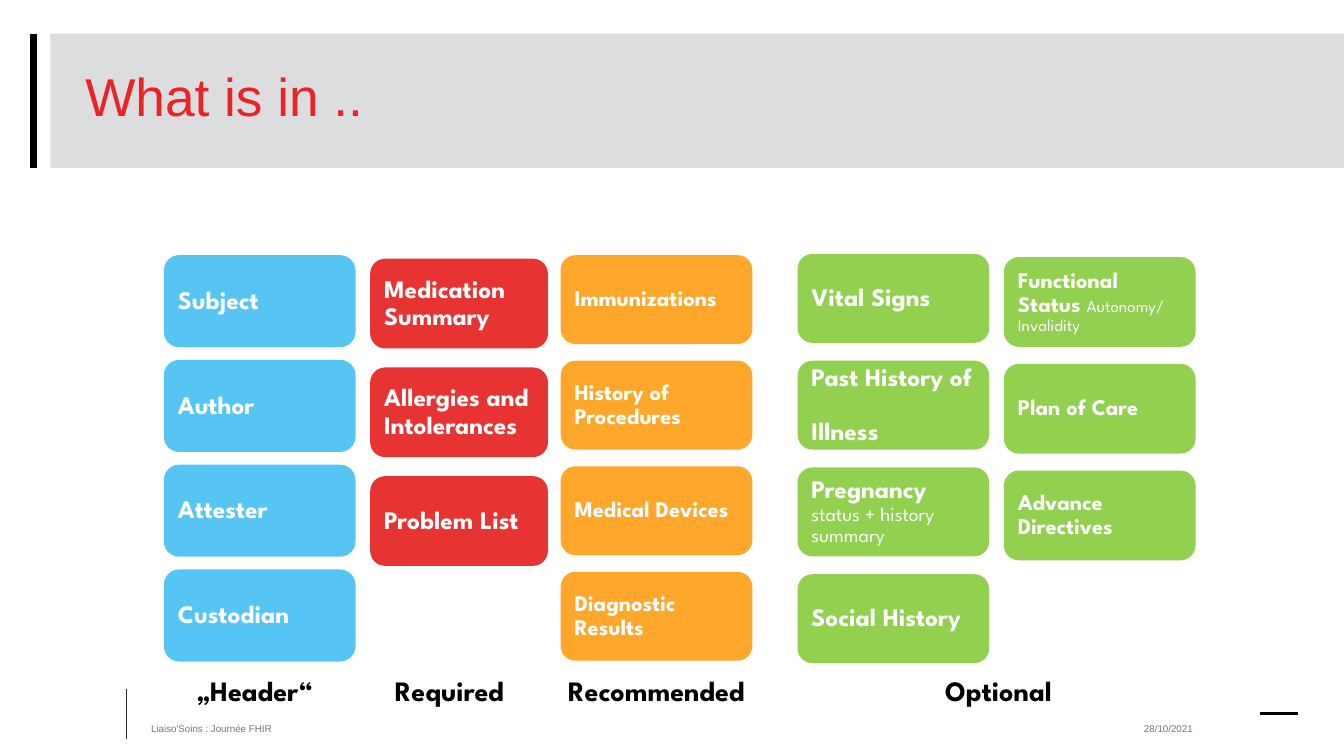
from pptx import Presentation
from pptx.dml.color import RGBColor
from pptx.enum.shapes import MSO_CONNECTOR as Link, MSO_SHAPE as Form
from pptx.enum.text import MSO_ANCHOR as Anchor, PP_ALIGN as Align
from pptx.oxml.ns import qn
from pptx.util import Cm, Pt
from lxml.etree import SubElement

SPARTAN = "League Spartan"
BLUE, RED, AMBER, GREEN = "56C5F4", "E73432", "FFA72A", "92D050"

# left, top, width, height, pitch (cm), colour, text size, (title, note) cards
COLUMNS = [
    (4.13, 6.43, 4.83, 2.32, 2.64, BLUE, 18,
     [("Subject", ""), ("Author", ""), ("Attester", ""), ("Custodian", "")]),
    (9.33, 6.52, 4.48, 2.26, 2.74, RED, 18,
     [("Medication\nSummary", ""), ("Allergies and\nIntolerances", ""),
      ("Problem List", "")]),
    (14.13, 6.43, 4.83, 2.24, 2.66, AMBER, 16,
     [("Immunizations", ""), ("History of \nProcedures", ""),
      ("Medical Devices", ""), ("Diagnostic Results", "")]),
    (20.1, 6.4, 4.83, 2.24, 2.69, GREEN, 18,
     [("Vital Signs", ""), ("Past History of \nIllness", ""),
      ("Pregnancy\n", "status + history summary"), ("Social History", "")]),
    (25.3, 6.48, 4.83, 2.26, 2.69, GREEN, 16,
     [("Functional Status ", "Autonomy/ Invalidity"), ("Plan of Care", ""),
      ("Advance Directives", "")]),
]

# left, width (cm), text
LABELS = [(4.01, 4.83, "„Header“"), (9.09, 4.48, "Required"),
          (13.56, 5.97, "Recommended"), (19.96, 10.41, "Optional")]


def tint(color, value):
    color.rgb = RGBColor.from_string(value)


def style(font, size, name, color, bold=False):
    font.size, font.name, font.bold = Pt(size), name, bold
    tint(font.color, color)


def add_block(shapes, form, box, color):
    block = shapes.add_shape(form, *map(Cm, box))
    block.shadow.inherit = False
    block.fill.solid()
    tint(block.fill.fore_color, color)
    block.line.fill.background()
    return block


def add_rule(shapes, start, end, color, width):
    rule = shapes.add_connector(Link.STRAIGHT, *map(Cm, start + end))
    tint(rule.line.color, color)
    rule.line.width = Pt(width)
    SubElement(rule._element.spPr, qn("a:effectLst"))


def add_text(shapes, box, text, size, name, color, anchor, bold=False):
    """Add a wrapped text box and return its paragraph."""
    frame = shapes.add_textbox(*map(Cm, box)).text_frame
    frame.word_wrap = True
    frame.vertical_anchor = anchor
    para = frame.paragraphs[0]
    para.text = text
    style(para.font, size, name, color, bold)
    return para


def add_card(shapes, box, color, size, title, note):
    """Add a rounded card; a note follows the title in smaller, light type."""
    frame = add_block(shapes, Form.ROUNDED_RECTANGLE, box, color).text_frame
    frame.word_wrap = True
    frame.vertical_anchor = Anchor.MIDDLE
    frame.margin_left = frame.margin_right = Cm(0.24)
    frame.margin_top = frame.margin_bottom = Cm(0.24)
    para = frame.paragraphs[0]
    para.text = title
    para.alignment = Align.LEFT
    para.line_spacing = 0.9
    style(para.font, size, SPARTAN, "FFFFFF", True)
    if note:
        run = para.add_run()
        run.text = note
        style(run.font, size - 4, SPARTAN, "FFFFFF")


def add_column(shapes, left, top, width, height, pitch, color, size, cards):
    group = shapes.add_group_shape()
    for row, (title, note) in enumerate(cards):
        box = left, top + row * pitch, width, height
        add_card(group.shapes, box, color, size, title, note)


def add_frame(shapes):
    """Add the title band, the rules and the footer."""
    add_rule(shapes, (3.18, 17.35), (3.18, 18.62), "3D3029", 0.5)
    add_rule(shapes, (31.75, 17.99), (32.7, 17.99), "000000", 2)
    band = add_block(shapes, Form.RECTANGLE, (1.27, 0.85, 32.6, 3.38), "BABCBE")
    shade = band._element.spPr.find(qn("a:solidFill"))[0]
    SubElement(shade, qn("a:alpha")).set("val", "50000")
    add_rule(shapes, (0.85, 0.85), (0.85, 4.23), "000000", 5)
    title = add_text(shapes, (1.9, 0.85, 30.2, 3.38), "What is in ..",
                     38, "Arial", "EC2227", Anchor.MIDDLE)
    title.line_spacing = 0.8
    for left, width, text in [(28.58, 3.1, "28/10/2021"),
                              (3.56, 18.03, "Liaiso'Soins : Journée FHIR")]:
        add_text(shapes, (left, 17.99, width, 0.65), text,
                 7, "Arial", "747679", Anchor.BOTTOM)


def main():
    deck = Presentation()
    deck.slide_width, deck.slide_height = Cm(33.87), Cm(19.05)
    shapes = deck.slides.add_slide(deck.slide_layouts[6]).shapes
    add_frame(shapes)
    for column in COLUMNS:
        add_column(shapes, *column)
    for left, width, text in LABELS:
        label = add_text(shapes, (left, 16.94, width, 1.1), text,
                         20, SPARTAN, "000000", Anchor.TOP, True)
        label.alignment = Align.CENTER
        label.line_spacing = 0.9
        label.space_before = Pt(10)
    deck.save("out.pptx")


if __name__ == "__main__":
    main()
